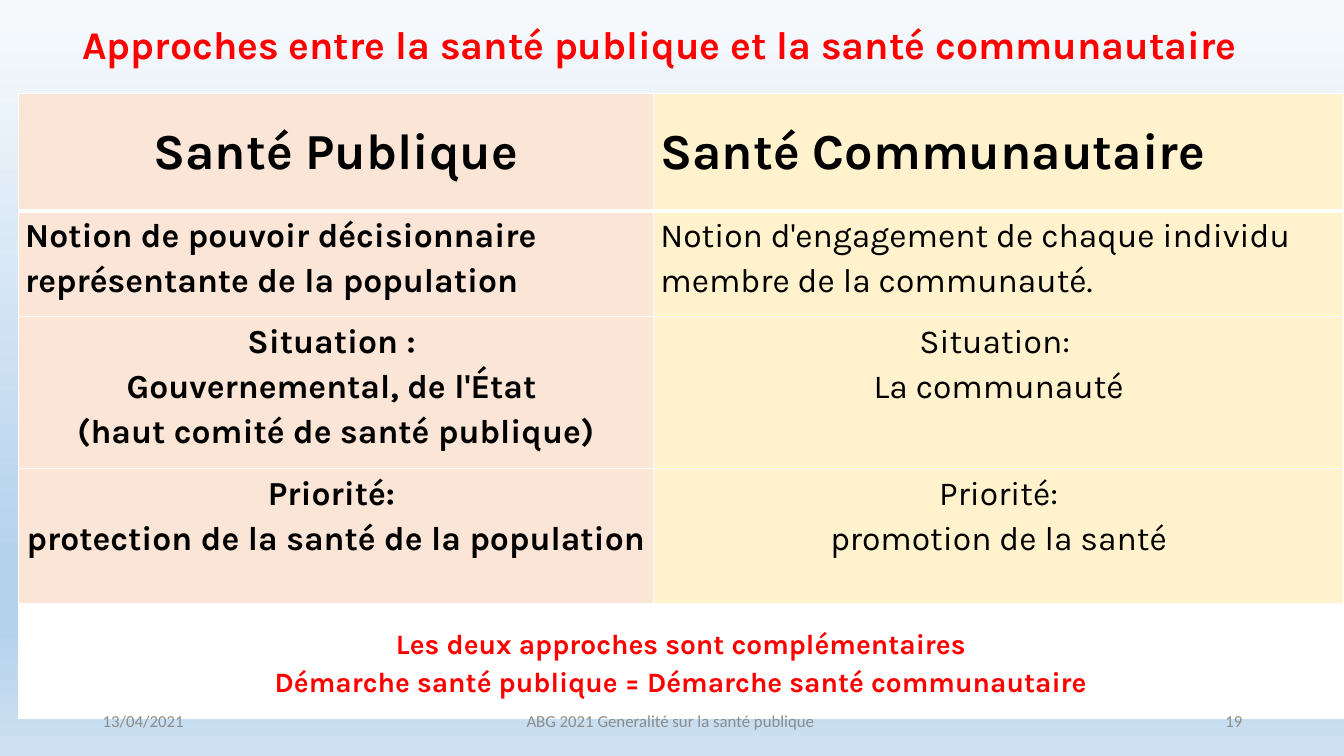
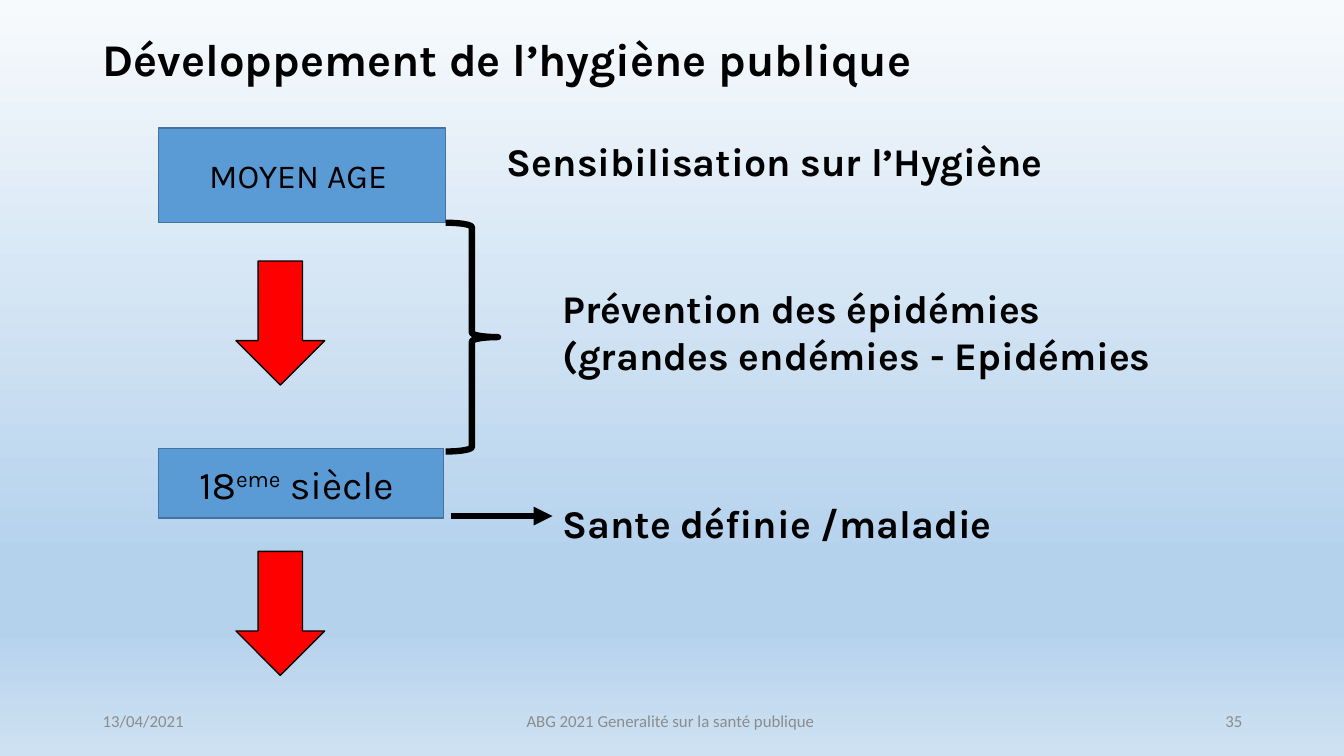
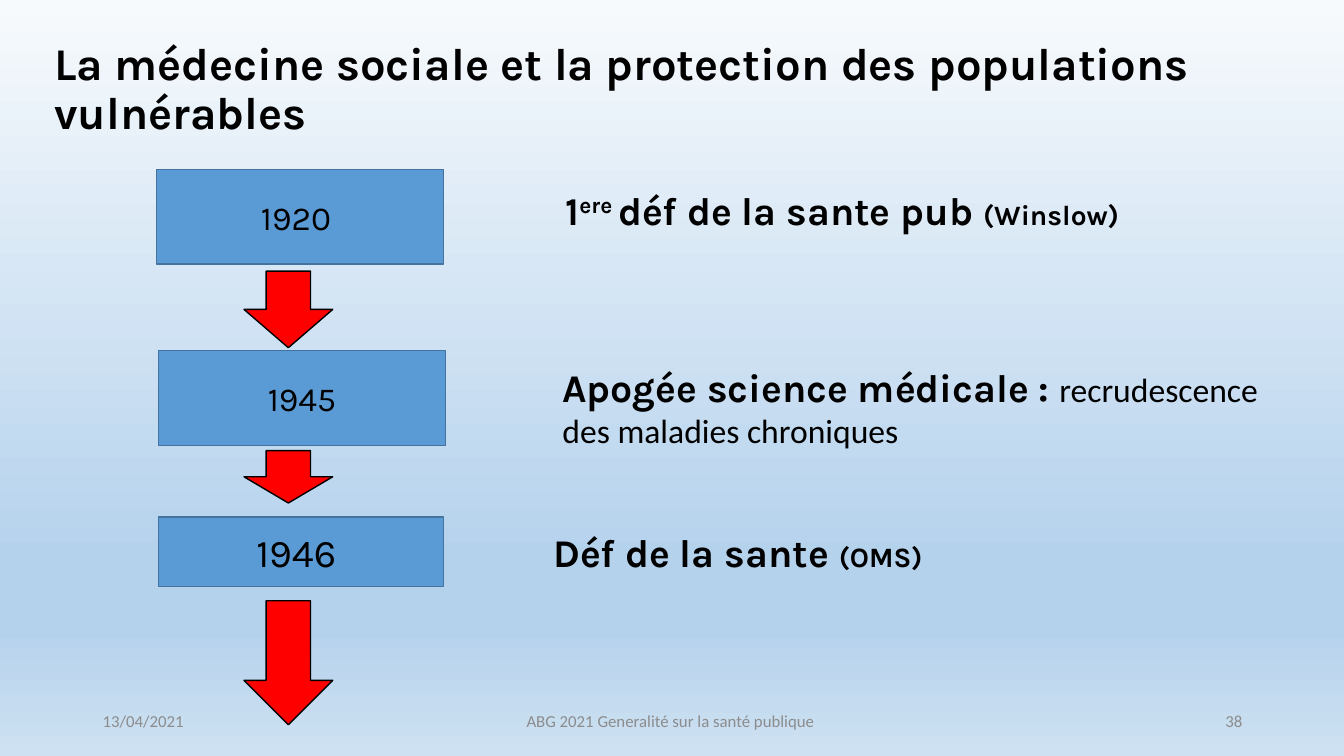
import copy
from dataclasses import dataclass

import lxml.etree
import pptx
import pptx.dml.color
import pptx.enum.shapes
import pptx.enum.text
import pptx.oxml.ns
import pptx.util

Inches = pptx.util.Inches
Pt = pptx.util.Pt
RGBColor = pptx.dml.color.RGBColor
SHAPES = pptx.enum.shapes.MSO_SHAPE
ALIGN = pptx.enum.text.PP_ALIGN
ANCHOR = pptx.enum.text.MSO_ANCHOR
qn = pptx.oxml.ns.qn

# Colours
BLACK = RGBColor(0x00, 0x00, 0x00)
WHITE = RGBColor(0xFF, 0xFF, 0xFF)
RED = RGBColor(0xFF, 0x00, 0x00)
GREY = RGBColor(0x8C, 0x8C, 0x8C)
ERA_BLUE = RGBColor(0x5B, 0x9B, 0xD5)
ERA_EDGE = RGBColor(0x43, 0x73, 0x9E)
PEACH = RGBColor(0xFB, 0xE5, 0xD6)
CREAM = RGBColor(0xFF, 0xF2, 0xCC)
SKY = [(0, RGBColor(0xF7, 0xFA, 0xFD)), (74, RGBColor(0xB5, 0xD2, 0xEC)),
       (83, RGBColor(0xB5, 0xD2, 0xEC)), (100, RGBColor(0xCE, 0xE1, 0xF2))]

# Text formats
BODY = {"name": "Karla", "size": Pt(24), "bold": False, "color": BLACK}
STRONG = BODY | {"bold": True}
NOTE = STRONG | {"size": Pt(28)}
SMALL_NOTE = NOTE | {"size": Pt(20)}
TITLE = STRONG | {"size": Pt(32.4)}
RED_TITLE = NOTE | {"color": RED}
HEADING = STRONG | {"size": Pt(36)}
CONCLUSION = SMALL_NOTE | {"color": RED}
LARGE_ERA = BODY | {"size": Pt(28)}
FOOTER = {"name": "Calibri", "size": Pt(12), "bold": False, "color": GREY}
RAISED = {"baseline": "30000"}


@dataclass
class Box:
    left: float
    top: float
    width: float
    height: float

    def inner(self, dx, dy, width, height):
        return Box(self.left + dx, self.top + dy, width, height)

    def lengths(self):
        return [Inches(n) for n in (self.left, self.top, self.width, self.height)]


FOOTER_BOX = Box(0.92, 6.95, 11.5, 0.4)


def write(frame, paragraphs, style, align=ALIGN.LEFT, spacing=None):
    """Each paragraph is a string or a list of (text, format changes)."""
    for index, content in enumerate(paragraphs):
        paragraph = frame.add_paragraph() if index else frame.paragraphs[0]
        paragraph.alignment = align
        paragraph.line_spacing = spacing
        parts = [(content, {})] if isinstance(content, str) else content
        for text, changes in parts:
            run = paragraph.add_run()
            run.text = text
            for name, value in (style | changes).items():
                if name == "color":
                    run.font.color.rgb = value
                elif name == "baseline":
                    run._r.get_or_add_rPr().set(name, value)
                else:
                    setattr(run.font, name, value)


def draw_text(slide, box, paragraphs, style, align=ALIGN.LEFT, spacing=None,
              anchor=ANCHOR.TOP):
    frame = slide.shapes.add_textbox(*box.lengths()).text_frame
    frame.word_wrap = True
    frame.vertical_anchor = anchor
    write(frame, paragraphs, style, align, spacing)


def draw_shape(slide, box, kind, fill, edge, weight):
    shape = slide.shapes.add_shape(kind, *box.lengths())
    shape.shadow.inherit = False
    if fill is None:
        shape.fill.background()
    else:
        shape.fill.solid()
        shape.fill.fore_color.rgb = fill
    shape.line.color.rgb = edge
    shape.line.width = Pt(weight)
    return shape


# Parts shared by all slides
def paint_background(master):
    fill = master.background.fill
    fill.gradient()
    fill.gradient_angle = 270
    stops = fill._fill._gradFill.find(qn("a:gsLst"))
    template = copy.deepcopy(stops[0])
    for child in list(stops):
        stops.remove(child)
    for position, colour in SKY:
        stop = copy.deepcopy(template)
        for child in list(stop):
            stop.remove(child)
        stop.set("pos", str(position * 1000))
        lxml.etree.SubElement(stop, qn("a:srgbClr")).set("val", str(colour))
        stops.append(stop)


def draw_footer(slide, box, number):
    parts = [(0, 3, "13/04/2021", ALIGN.LEFT),
             (3.5, 4.5, "ABG 2021 Generalité sur la santé publique ", ALIGN.CENTER),
             (8.5, 3, number, ALIGN.RIGHT)]
    for dx, width, text, align in parts:
        draw_text(slide, box.inner(dx, 0, width, box.height), [text], FOOTER,
                  align, anchor=ANCHOR.MIDDLE)


def start_slide(deck, title, title_box, style=TITLE):
    slide = deck.slides.add_slide(deck.slide_layouts[6])
    draw_text(slide, title_box, [title], style, spacing=0.9, anchor=ANCHOR.MIDDLE)
    return slide


# Comparison table
def border_cell(cell, bottom):
    properties = cell._tc.get_or_add_tcPr()
    for index, (side, weight) in enumerate(
            [("lnL", 1), ("lnR", 1), ("lnT", 1), ("lnB", bottom)]):
        line = lxml.etree.Element(qn("a:" + side), w=str(Pt(weight)))
        solid = lxml.etree.SubElement(line, qn("a:solidFill"))
        lxml.etree.SubElement(solid, qn("a:srgbClr")).set("val", str(WHITE))
        properties.insert(index, line)


def fill_cell(cell, paragraphs, style, align, colour, spacing=1.15, bottom=1, top=0):
    margins = {"margin_left": 0.07, "margin_right": 0.07,
               "margin_top": top, "margin_bottom": 0}
    for name, value in margins.items():
        setattr(cell, name, Inches(value))
    cell.fill.solid()
    cell.fill.fore_color.rgb = colour
    border_cell(cell, bottom)
    write(cell.text_frame, paragraphs, style, align, spacing)


def draw_comparison(slide, box, headings, rows, conclusion):
    widths = [6.3, 6.85]
    heights = [1.16, 1.05, 1.51, 1.34, 1.14]
    table = slide.shapes.add_table(len(heights), len(widths), *box.lengths()).table
    for column, width in zip(table.columns, widths):
        column.width = Inches(width)
    for row, height in zip(table.rows, heights):
        row.height = Inches(height)
    colours = [PEACH, CREAM]
    for column, (heading, align) in enumerate(headings):
        fill_cell(table.cell(0, column), [heading], HEADING, align,
                  colours[column], spacing=1.5, bottom=3)
    for row, (align, *pair) in enumerate(rows, 1):
        for column, paragraphs in enumerate(pair):
            fill_cell(table.cell(row, column), paragraphs,
                      [STRONG, BODY][column], align, colours[column])
    last = table.cell(len(heights) - 1, 0)
    last.merge(table.cell(len(heights) - 1, 1))
    fill_cell(last, conclusion, CONCLUSION, ALIGN.CENTER, WHITE, top=0.2)


# Timeline: eras, red arrows and notes, placed from the corner of the timeline
def draw_timeline(slide, box, eras, arrow_dx, arrows, notes):
    for dx, dy, width, height, text, style in eras:
        era = draw_shape(slide, box.inner(dx, dy, width, height),
                         SHAPES.RECTANGLE, ERA_BLUE, ERA_EDGE, 1)
        write(era.text_frame, [text], style, ALIGN.CENTER)
    for dy, height in arrows:
        draw_shape(slide, box.inner(arrow_dx, dy, 0.88, height),
                   SHAPES.DOWN_ARROW, RED, BLACK, 1)
    for dx, dy, width, height, paragraphs in notes:
        draw_text(slide, box.inner(dx, dy, width, height), paragraphs, NOTE)


def draw_links(slide, box):
    """Brace between the two eras and arrow from the second one to its note."""
    draw_shape(slide, box.inner(2.85, 0.94, 0.52, 2.27),
               SHAPES.RIGHT_BRACE, None, BLACK, 4.5)
    arrow = box.inner(2.9, 3.85, 1.01, 0)
    link = slide.shapes.add_connector(
        pptx.enum.shapes.MSO_CONNECTOR.STRAIGHT,
        Inches(arrow.left), Inches(arrow.top),
        Inches(arrow.left + arrow.width), Inches(arrow.top))
    link.line.color.rgb = BLACK
    link.line.width = Pt(4.5)
    lxml.etree.SubElement(link.line._get_or_add_ln(), qn("a:tailEnd")).set(
        "type", "triangle")
    lxml.etree.SubElement(link._element.spPr, qn("a:effectLst"))


# Slides
def approaches_slide(deck):
    slide = start_slide(deck, "Approches entre la santé publique et la santé communautaire",
                        Box(0.72, 0.11, 12.47, 0.7), RED_TITLE)
    draw_comparison(
        slide, Box(0.18, 0.93, 13.15, 6.2),
        [("Santé Publique", ALIGN.CENTER), ("Santé Communautaire", ALIGN.JUSTIFY)],
        [(ALIGN.LEFT,
          ["Notion de pouvoir décisionnaire représentante de la population"],
          ["Notion d'engagement de chaque individu membre de la communauté."]),
         (ALIGN.CENTER,
          ["Situation : ", "Gouvernemental, de l'État ", "(haut comité de santé publique)"],
          ["Situation: ", "La communauté"]),
         (ALIGN.CENTER,
          ["Priorité: ", "protection de la santé de la population"],
          ["Priorité:", "promotion de la santé"])],
        ["Les deux approches sont complémentaires",
         "Démarche santé publique = Démarche santé communautaire"])
    draw_footer(slide, FOOTER_BOX, "19")


def hygiene_slide(deck):
    slide = start_slide(deck, "Développement de l’hygiène publique",
                        Box(0.92, 0.26, 11.5, 0.7))
    draw_footer(slide, FOOTER_BOX, "35")
    timeline = Box(1.57, 1.27, 11.32, 5.43)
    draw_timeline(
        slide, timeline,
        [(0, 0, 2.85, 0.94, "MOYEN AGE ", BODY),
         (0, 3.18, 2.83, 0.69,
          [("18", {}), ("eme", RAISED), (" siècle ", {})], LARGE_ERA)],
        0.77, [(1.32, 1.23), (4.2, 1.23)],
        [(3.36, 0.04, 6.64, 0.57, ["Sensibilisation sur l’Hygiène"]),
         (3.91, 1.5, 7.25, 1.04,
          ["Prévention des épidémies", "(grandes endémies - Epidémies"]),
         (3.91, 3.63, 7.41, 0.57, ["Sante définie /maladie"])])
    draw_links(slide, timeline)


def social_medicine_slide(deck):
    slide = start_slide(
        deck, "La médecine sociale et la protection des populations vulnérables",
        Box(0.44, 0.55, 12.45, 0.7))
    draw_footer(slide, FOOTER_BOX, "38")
    plain = {"name": "Calibri", "size": Pt(24), "bold": False}
    draw_timeline(
        slide, Box(1.55, 1.68, 11.25, 5.51),
        [(0, 0, 2.85, 0.94, "1920 ", BODY),
         (0.02, 1.8, 2.85, 0.94, "1945", BODY),
         (0.02, 3.45, 2.83, 0.69, "1946 ", LARGE_ERA)],
        0.87, [(1.01, 0.76), (2.79, 0.52), (4.28, 1.23)],
        [(3.96, 0.12, 7.3, 0.57,
          [[("1", {}), ("ere ", RAISED), ("déf de la sante pub ", {}),
            ("(Winslow)", SMALL_NOTE)]]),
         (3.93, 1.87, 7.25, 0.98,
          [[("Apogée science médicale : ", {}),
            ("recrudescence des maladies chroniques", plain)]]),
         (3.84, 3.51, 7.41, 0.57,
          [[("Déf de la sante ", {}), ("(OMS)", SMALL_NOTE)]])])


def main():
    deck = pptx.Presentation()
    deck.slide_width = Inches(13.33)
    deck.slide_height = Inches(7.5)
    paint_background(deck.slide_master)
    approaches_slide(deck)
    hygiene_slide(deck)
    social_medicine_slide(deck)
    deck.save("out.pptx")


if __name__ == "__main__":
    main()
